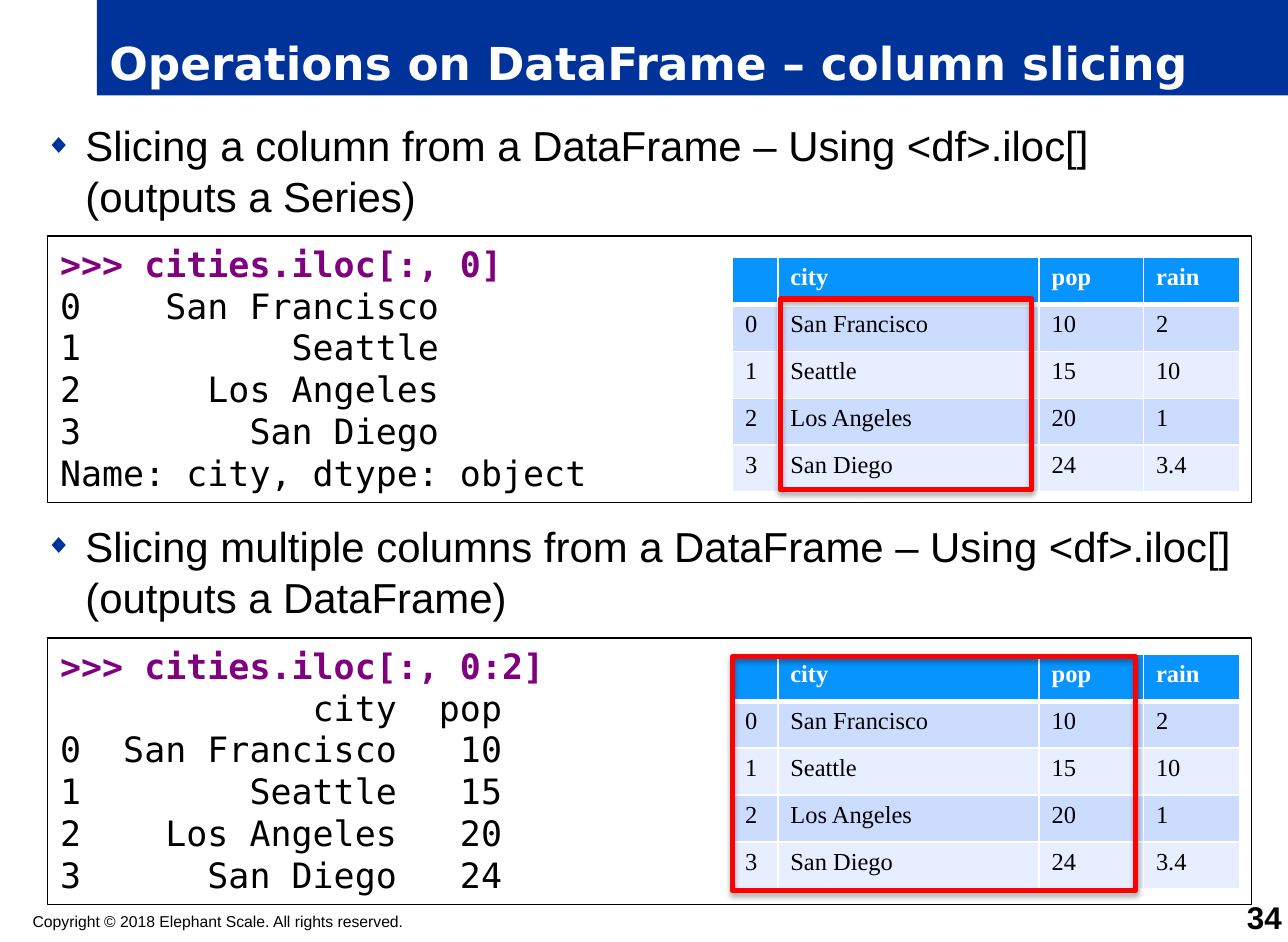
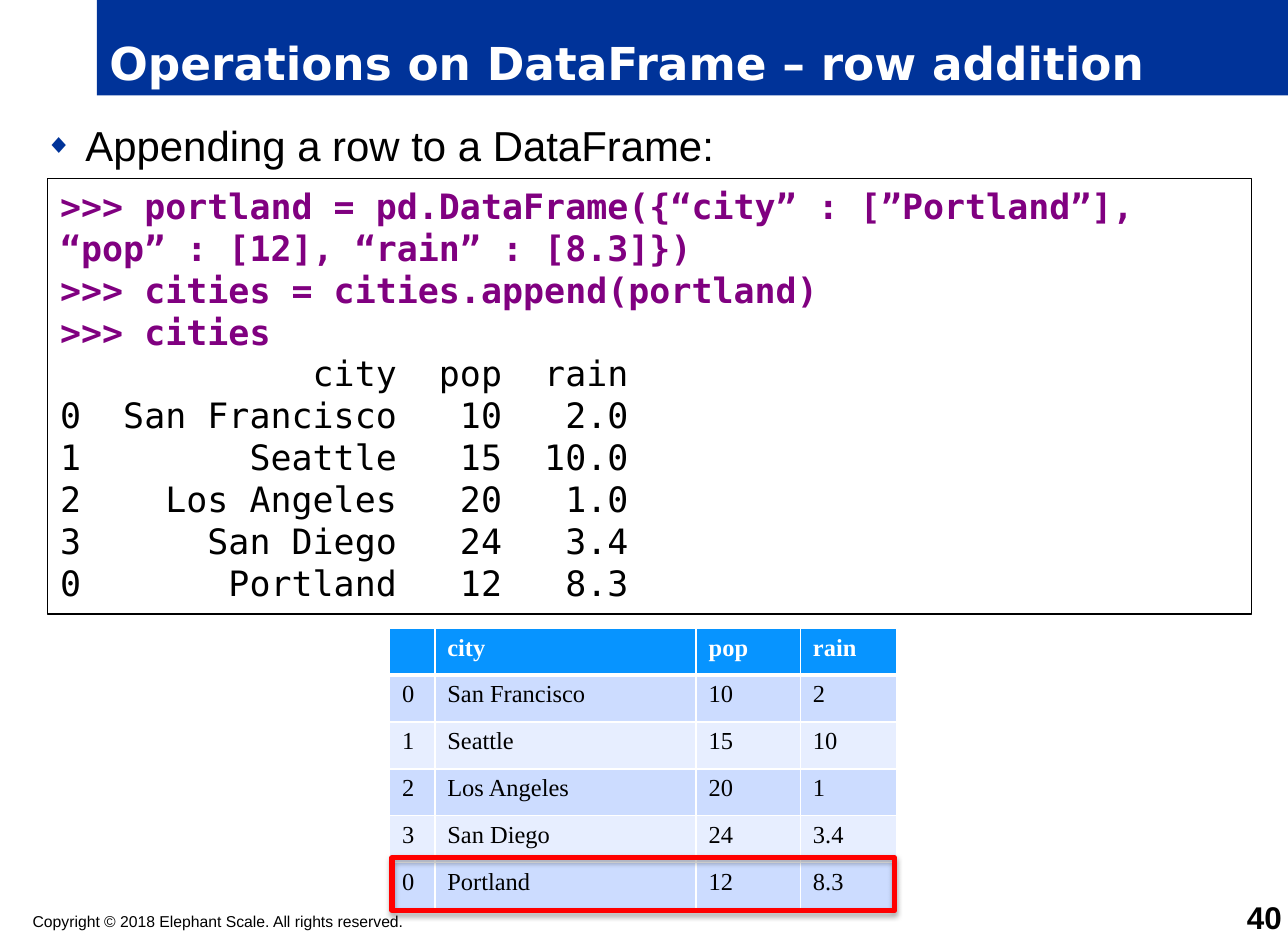
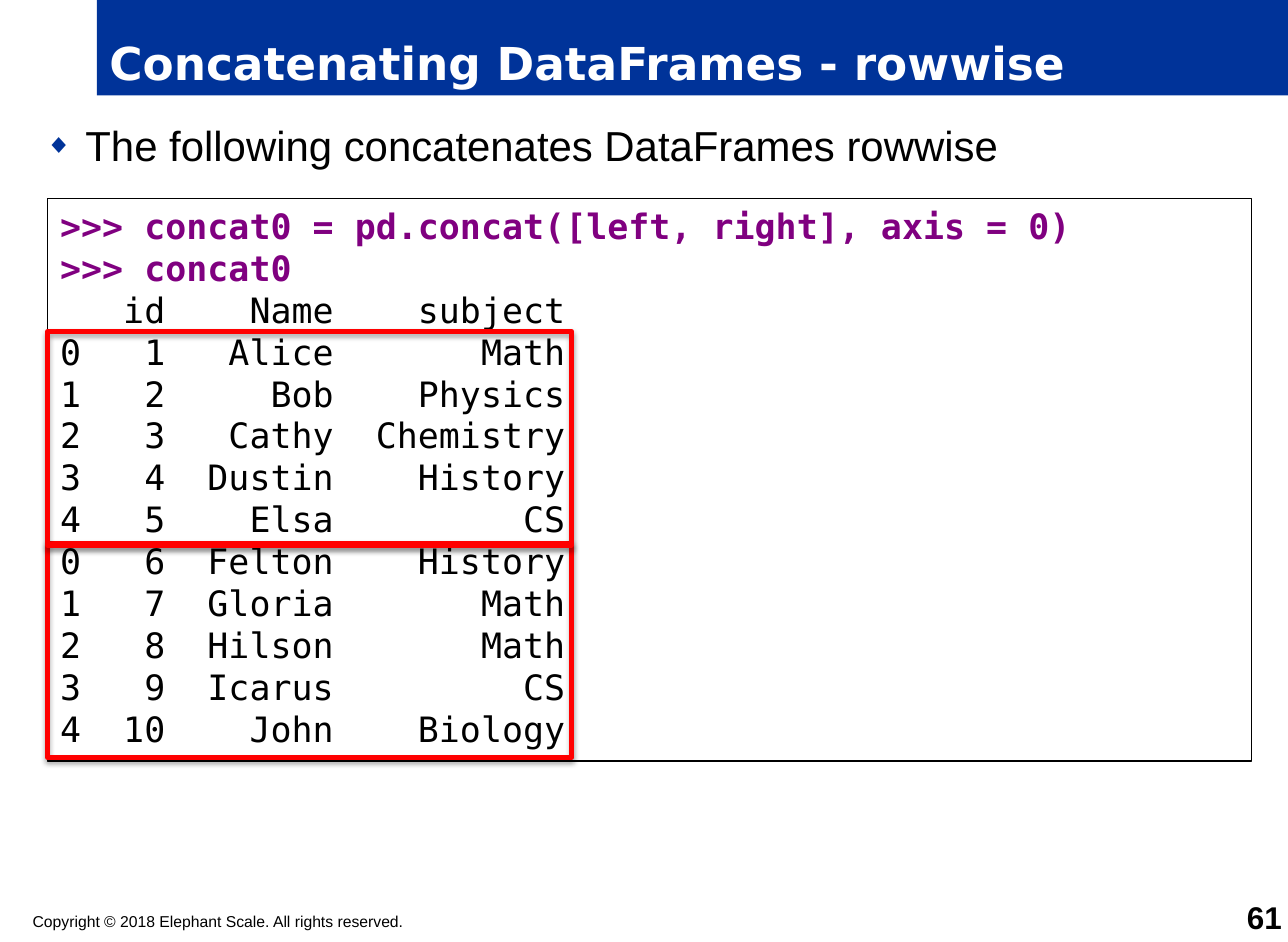
from lxml.etree import SubElement
from pptx import Presentation
from pptx.dml.color import RGBColor
from pptx.enum.shapes import MSO_SHAPE as Shape
from pptx.enum.text import MSO_ANCHOR as Anchor, MSO_AUTO_SIZE as AutoSize, PP_ALIGN as Align
from pptx.oxml.ns import qn
from pptx.util import Inches, Pt

# Shared look
BLUE, WHITE, BLACK, PURPLE, RED = "003399", "FFFFFF", "000000", "800080", "FF0000"
HEADER, BANDS = "0794FF", ("CCDCFF", "E7EEFF")
COLUMN_WIDTHS, ROW_HEIGHT = (0.36, 2.08, 0.83, 0.77), 0.374
CODE_LEFT, CODE_WIDTH = 0.38, 9.58
COPYRIGHT = "Copyright © 2018 Elephant Scale. All rights reserved."


def color(value):
    return RGBColor.from_string(value)


def style(para, name, size, value, bold=False):
    para.font.name, para.font.size, para.font.bold = name, Pt(size), bold
    para.font.color.rgb = color(value)


# Table data
cities = [
    ("", "city", "pop", "rain"),
    ("0", "San Francisco", "10", "2"),
    ("1", "Seattle", "15", "10"),
    ("2", "Los Angeles", "20", "1"),
    ("3", "San Diego", "24", "3.4"),
]
cities_extended = cities + [("0", "Portland", "12", "8.3")]

# Slide content: code panels are (top, height, text), tables (left, top, rows),
# frames (left, top, width, height), bullets (text, points before)
slides = [
    {
        "title": "Operations on DataFrame – column slicing",
        "number": "34",
        "bullets": [
            ("Slicing a column from a DataFrame – Using <df>.iloc[] (outputs a Series)", 0),
            ("Slicing multiple columns from a DataFrame – Using <df>.iloc[] (outputs a DataFrame)", 171),
        ],
        "code": [
            (1.88, 2.12, """\
>>> cities.iloc[:, 0]
0    San Francisco
1          Seattle
2      Los Angeles
3        San Diego
Name: city, dtype: object"""),
            (5.08, 2.12, """\
>>> cities.iloc[:, 0:2]
            city  pop
0  San Francisco   10
1        Seattle   15
2    Los Angeles   20
3      San Diego   24"""),
        ],
        "tables": [(5.83, 2.05, cities), (5.83, 5.21, cities)],
        "frames": [(6.21, 2.38, 2, 1.52), (5.83, 5.23, 3.21, 1.86)],
    },
    {
        "title": "Operations on DataFrame – row addition",
        "number": "40",
        "bullets": [("Appending a row to a DataFrame:", 0)],
        "code": [
            (1.42, 3.47, """\
>>> portland = pd.DataFrame({“city” : [”Portland”], “pop” : [12], “rain” : [8.3]})
>>> cities = cities.append(portland)
>>> cities
            city  pop  rain
0  San Francisco   10   2.0
1        Seattle   15  10.0
2    Los Angeles   20   1.0
3      San Diego   24   3.4
0       Portland   12   8.3"""),
        ],
        "tables": [(3.1, 5, cities_extended)],
        "frames": [(3.12, 6.83, 4, 0.42)],
    },
    {
        "title": "Concatenating DataFrames - rowwise",
        "number": "61",
        "bullets": [("The following concatenates DataFrames rowwise", 0)],
        "code": [
            (1.58, 4.48, """\
>>> concat0 = pd.concat([left, right], axis = 0)
>>> concat0
   id    Name    subject
0   1   Alice       Math
1   2     Bob    Physics
2   3   Cathy  Chemistry
3   4  Dustin    History
4   5    Elsa         CS
0   6  Felton    History
1   7  Gloria       Math
2   8  Hilson       Math
3   9  Icarus         CS
4  10    John    Biology"""),
        ],
        "tables": [],
        "frames": [(0.38, 4.33, 4.17, 1.7), (0.38, 2.64, 4.17, 1.7)],
    },
]

deck = Presentation()
deck.slide_width, deck.slide_height = Inches(10.25), Inches(7.5)

for content in slides:
    page = deck.slides.add_slide(deck.slide_layouts[1])

    # Title band
    title = page.shapes.title
    title.left, title.top, title.width, title.height = map(Inches, (0.77, 0, 9.48, 0.76))
    title.fill.solid()
    title.fill.fore_color.rgb = color(BLUE)
    frame = title.text_frame
    frame.text = content["title"]
    frame.vertical_anchor, frame.auto_size = Anchor.BOTTOM, AutoSize.NONE
    frame.paragraphs[0].alignment = Align.LEFT
    style(frame.paragraphs[0], "DejaVu Sans", 26, WHITE, True)

    # Bullets
    body = page.placeholders[1]
    body.left, body.top, body.width, body.height = map(Inches, (0.26, 0.9, 9.74, 6.17))
    frame = body.text_frame
    frame.auto_size = AutoSize.NONE
    frame.text = "\n".join(text for text, gap in content["bullets"])
    for para, (text, gap) in zip(frame.paragraphs, content["bullets"]):
        para.line_spacing, para.space_before = Pt(29.2), Pt(gap)
        properties = para._p.get_or_add_pPr()
        properties.set("marL", str(Inches(0.32)))
        properties.set("indent", str(-Inches(0.32)))
        SubElement(SubElement(properties, qn("a:buClr")), qn("a:srgbClr"), val=BLUE)
        SubElement(properties, qn("a:buSzPct"), val="65000")
        SubElement(properties, qn("a:buChar"), char="◆")
        style(para, "Arial", 24, BLACK)

    # Footer and page number
    for text, place, size, bold, align, anchor in (
        (COPYRIGHT, (0.26, 7.26, 5.95, 0.15), 9, False, Align.LEFT, Anchor.TOP),
        (content["number"], (9.6, 7.2, 0.6, 0.25), 18, True, Align.RIGHT, Anchor.BOTTOM),
    ):
        frame = page.shapes.add_textbox(*map(Inches, place)).text_frame
        frame.margin_left = frame.margin_right = frame.margin_top = frame.margin_bottom = 0
        frame.word_wrap, frame.vertical_anchor = True, anchor
        frame.text = text
        frame.paragraphs[0].alignment = align
        style(frame.paragraphs[0], "Arial", size, BLACK, bold)

    # Code panels: commands stand out from their output
    for top, height, code in content["code"]:
        box = page.shapes.add_textbox(*map(Inches, (CODE_LEFT, top, CODE_WIDTH, height)))
        box.fill.solid()
        box.fill.fore_color.rgb = color(WHITE)
        box.line.color.rgb, box.line.width = color(BLACK), Pt(0.75)
        box.text_frame.word_wrap = True
        box.text_frame.text = code
        for para in box.text_frame.paragraphs:
            command = para.text.startswith(">>>")
            para.line_spacing = Pt(24)
            style(para, "DejaVu Sans Mono", 20, PURPLE if command else BLACK, command)

    # Tables
    for left, top, rows in content["tables"]:
        place = (left, top, sum(COLUMN_WIDTHS), ROW_HEIGHT * len(rows))
        table = page.shapes.add_table(len(rows), len(COLUMN_WIDTHS), *map(Inches, place)).table
        for column, width in zip(table.columns, COLUMN_WIDTHS):
            column.width = Inches(width)
        for r, row in enumerate(rows):
            for c, text in enumerate(row):
                cell = table.cell(r, c)
                cell.text = text
                para = cell.text_frame.paragraphs[0]
                style(para, "Times New Roman", 14, BLACK if r else WHITE, r == 0)
                if not text:
                    SubElement(para._p, qn("a:endParaRPr"), sz="1400")
                for side in "LRTB":
                    thick = (r, side) in ((0, "B"), (1, "T"))
                    border = SubElement(cell._tc.get_or_add_tcPr(), qn("a:ln" + side),
                                        w=str(Pt(3 if thick else 1)))
                    SubElement(SubElement(border, qn("a:solidFill")), qn("a:srgbClr"), val=WHITE)
                cell.fill.solid()
                cell.fill.fore_color.rgb = color(BANDS[(r - 1) % 2] if r else HEADER)

    # Red frames with a soft shadow
    for place in content["frames"]:
        box = page.shapes.add_shape(Shape.RECTANGLE, *map(Inches, place))
        box.fill.background()
        box.line.color.rgb, box.line.width = color(RED), Pt(3)
        box.shadow.inherit = False
        effects = box._element.spPr.find(qn("a:effectLst"))
        shadow = SubElement(effects, qn("a:outerShdw"), blurRad=str(Pt(3.1)), dist=str(Pt(1.8)),
                            dir="5400000", rotWithShape="0")
        shade = SubElement(shadow, qn("a:srgbClr"), val=BLACK)
        SubElement(shade, qn("a:alpha"), val="35000")

deck.save("out.pptx")
